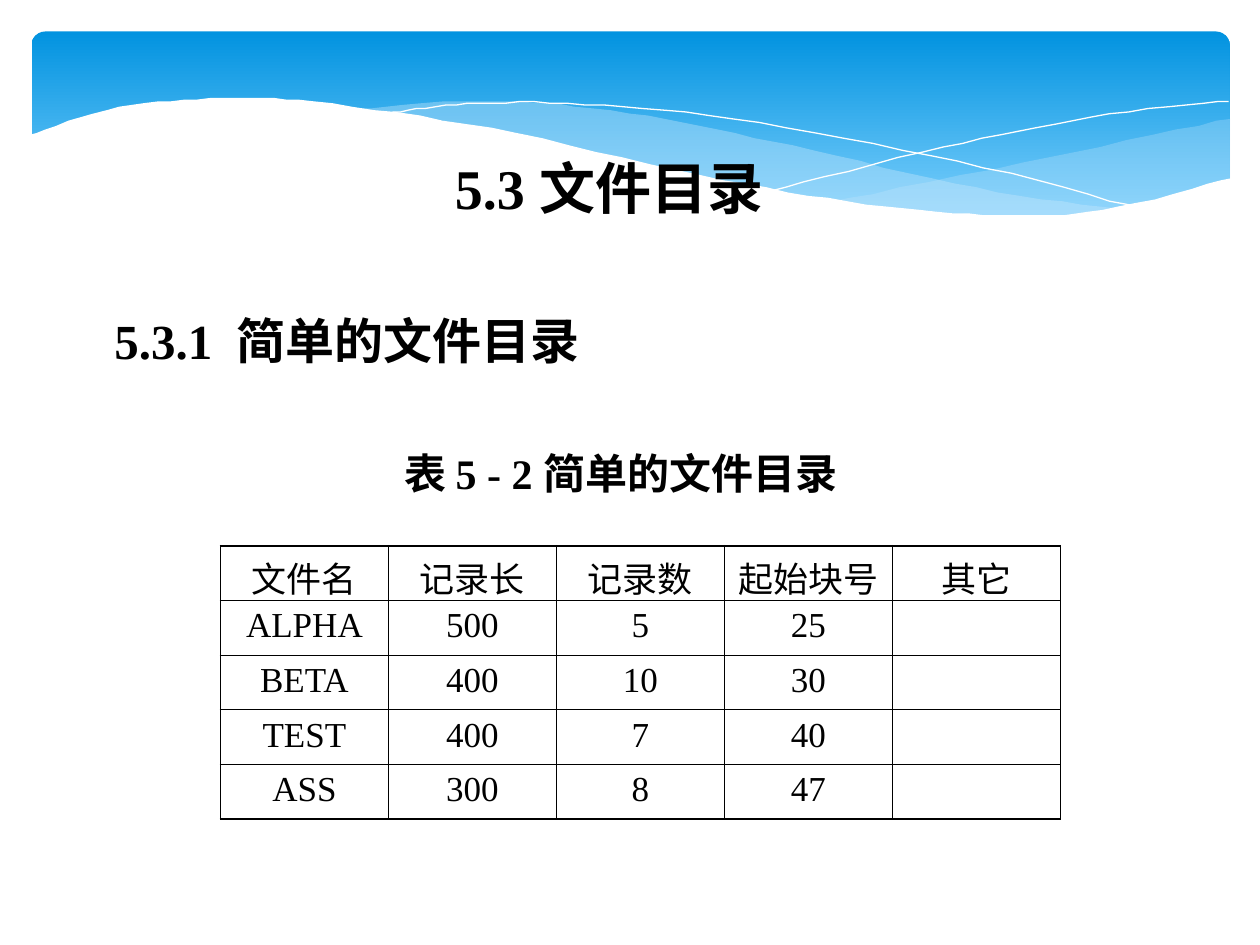
from dataclasses import dataclass
from typing import Any, Optional

import pptx
import pptx.dml.color
import pptx.enum.shapes
import pptx.enum.text
import pptx.oxml
import pptx.oxml.ns
import pptx.util

Pt = pptx.util.Pt
RGBColor = pptx.dml.color.RGBColor
ALIGN = pptx.enum.text.PP_ALIGN
Point = tuple[float, float]

BLACK = RGBColor(0x00, 0x00, 0x00)
WHITE = RGBColor(0xFF, 0xFF, 0xFF)
BANNER_TOP = RGBColor(0x02, 0x93, 0xE0)
BANNER_BOTTOM = RGBColor(0x83, 0xD3, 0xFE)
WASH = RGBColor(0xC6, 0xE7, 0xFC)

THIN, THICK = 0.45, 1.08
ROW_HEIGHT, COLUMN_WIDTH = 31.2, 96
CURVE_STEPS = 8
NAMESPACE = pptx.oxml.ns.nsdecls("a")


@dataclass
class Wave:
    """Smooth edges joined end to end; without a fill it is a white hairline."""
    edges: list[list[Point]]
    fill: Optional[RGBColor] = None
    opacity: int = 100


@dataclass
class Heading:
    text: str
    left: float
    top: float
    width: float
    height: float
    size: int
    align: Any = ALIGN.LEFT


WAVES = [
    Wave([[(702.7, 67.7), (599, 90), (476, 115.2)],
          [(476, 115.2), (536, 121), (593, 123.8), (652, 117.4), (702.7, 101.5)]],
         WASH, 29),
    Wave([[(643, 120.2), (558, 107.3), (453, 83.5), (370, 66.2), (287, 57.6), (206, 62)],
          [(206, 62), (291, 76.3), (407, 103), (500, 118.8), (589, 124.6), (643, 120.2)]],
         WASH, 40),
    Wave([[(222.5, 64.8), (261, 59.8), (324, 59), (419, 67.7), (547, 92.2), (653, 119.5)]]),
    Wave([[(441.4, 108.7), (539, 84.2), (623, 67), (702, 57.6)]]),
    Wave([[(703.4, 101.5), (630, 120.2), (571, 123.1), (495, 116.6), (400, 100.1),
           (281, 73.4), (180, 58.3), (127, 56.2), (68, 61.2), (16.6, 77)],
          [(16.6, 161.3), (703.4, 161.3)]], WHITE),
]

HEADINGS = [
    Heading("5.3 文件目录 ", 249.1, 84.2, 205.2, 46.1, 32, ALIGN.CENTER),
    Heading("5.3.1  简单的文件目录", 58.3, 174.2, 293, 41, 28),
    Heading("表 5 - 2 简单的文件目录", 223.9, 252, 278.6, 36, 24),
]

DIRECTORY = [
    ["文件名", "记录长", "记录数", "起始块号", "其它"],
    ["ALPHA", "500", "5", "25", ""],
    ["BETA", "400", "10", "30", ""],
    ["TEST", "400", "7", "40", ""],
    ["ASS", "300", "8", "47", ""],
]


def apply(target: Any, values: dict[str, Any]) -> None:
    for name, value in values.items():
        setattr(target, name, value)


def write(para: Any, text: str, size: int, bold: bool) -> None:
    span = para.add_run()
    span.text = text
    apply(span.font, {"name": "Times New Roman", "size": Pt(size), "bold": bold})
    span.font.color.rgb = BLACK


def smooth(knots: list[Point]) -> list[Point]:
    """Sample a Catmull-Rom curve that passes through the knots."""
    padded = [knots[0], *knots, knots[-1]]
    points = [knots[0]]
    for a, b, c, d in zip(padded, padded[1:], padded[2:], padded[3:]):
        for step in range(1, CURVE_STEPS + 1):
            t = step / CURVE_STEPS
            x, y = (
                q + (r - p) * t / 2 + (2 * p - 5 * q + 4 * r - s) * t ** 2 / 2
                + (3 * q - p - 3 * r + s) * t ** 3 / 2
                for p, q, r, s in zip(a, b, c, d))
            points.append((x, y))
    return points


def draw_banner(page: Any) -> None:
    banner = page.shapes.add_shape(
        pptx.enum.shapes.MSO_SHAPE.ROUNDED_RECTANGLE, Pt(18), Pt(18), Pt(684.7), Pt(112.3))
    banner.adjustments[0] = 0.07
    banner.shadow.inherit = False
    banner.line.fill.background()
    banner.fill.gradient()
    banner.fill.gradient_angle = 270
    for stop, color, position in zip(
            banner.fill.gradient_stops, (BANNER_TOP, BANNER_BOTTOM), (0, 1)):
        stop.color.rgb = color
        stop.position = position


def draw_wave(page: Any, wave: Wave) -> None:
    start, *rest = [point for edge in wave.edges for point in smooth(edge)]
    builder = page.shapes.build_freeform(*start, scale=float(Pt(1)))
    builder.add_line_segments(rest, close=wave.fill is not None)
    shape = builder.convert_to_shape()
    shape.shadow.inherit = False
    if wave.fill is None:
        shape.fill.background()
        shape.line.color.rgb = WHITE
        shape.line.width = Pt(0)
        return
    shape.line.fill.background()
    shape.fill.solid()
    shape.fill.fore_color.rgb = wave.fill
    if wave.opacity < 100:
        color = shape.fill._xPr.find(".//" + pptx.oxml.ns.qn("a:srgbClr"))
        color.append(pptx.oxml.parse_xml(
            f'<a:alpha {NAMESPACE} val="{wave.opacity * 1000}"/>'))


def draw_heading(page: Any, heading: Heading) -> None:
    box = page.shapes.add_textbox(
        Pt(heading.left), Pt(heading.top), Pt(heading.width), Pt(heading.height))
    apply(box.text_frame, {"word_wrap": False,
                           "auto_size": pptx.enum.text.MSO_AUTO_SIZE.SHAPE_TO_FIT_TEXT})
    para = box.text_frame.paragraphs[0]
    para.alignment = heading.align
    write(para, heading.text, heading.size, True)


def set_borders(cell: Any, widths: dict[str, float]) -> None:
    properties = cell._tc.get_or_add_tcPr()
    for index, (side, width) in enumerate(widths.items()):
        properties.insert(index, pptx.oxml.parse_xml(
            f'<a:ln{side} {NAMESPACE} w="{int(Pt(width))}"><a:solidFill>'
            f'<a:srgbClr val="{BLACK}"/></a:solidFill></a:ln{side}>'))


def draw_directory(page: Any, rows: list[list[str]]) -> None:
    last_row, last_column = len(rows) - 1, len(rows[0]) - 1
    table = page.shapes.add_table(
        len(rows), len(rows[0]), Pt(126), Pt(311.8),
        Pt(COLUMN_WIDTH * len(rows[0])), Pt(ROW_HEIGHT * len(rows))).table
    apply(table, {"first_row": False, "horz_banding": False})
    for column in table.columns:
        column.width = Pt(COLUMN_WIDTH)
    for r, row in enumerate(rows):
        table.rows[r].height = Pt(ROW_HEIGHT)
        for c, text in enumerate(row):
            cell = table.cell(r, c)
            cell.fill.background()
            set_borders(cell, {"L": THIN if c else THICK,
                               "R": THICK if c == last_column else THIN,
                               "T": THIN if r else THICK,
                               "B": THICK if r == last_row else THIN})
            para = cell.text_frame.paragraphs[0]
            apply(para, {"alignment": ALIGN.CENTER, "space_before": Pt(5)})
            if text:
                write(para, text, 20, False)


def main() -> None:
    deck = pptx.Presentation()
    apply(deck, {"slide_width": Pt(720), "slide_height": Pt(540)})
    page = deck.slides.add_slide(deck.slide_layouts[6])
    draw_banner(page)
    for wave in WAVES:
        draw_wave(page, wave)
    for heading in HEADINGS:
        draw_heading(page, heading)
    draw_directory(page, DIRECTORY)
    deck.save("out.pptx")


if __name__ == "__main__":
    main()
